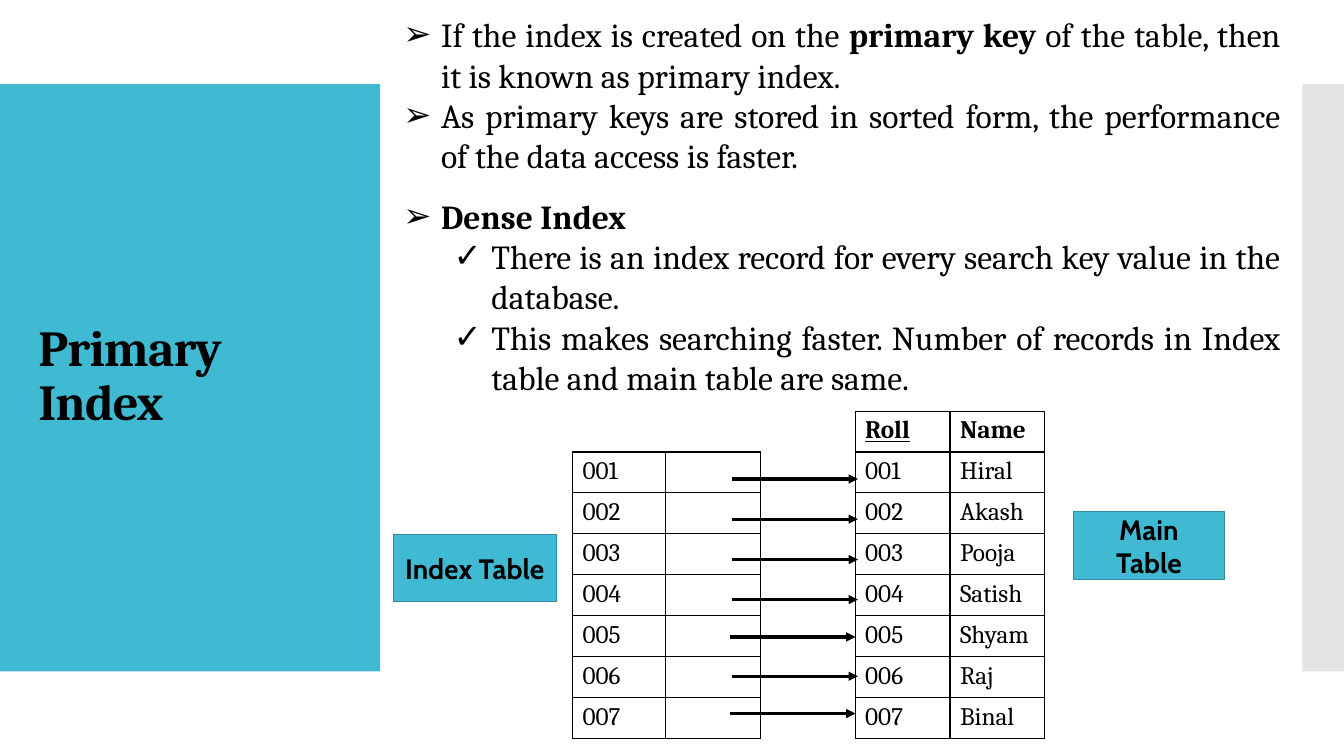
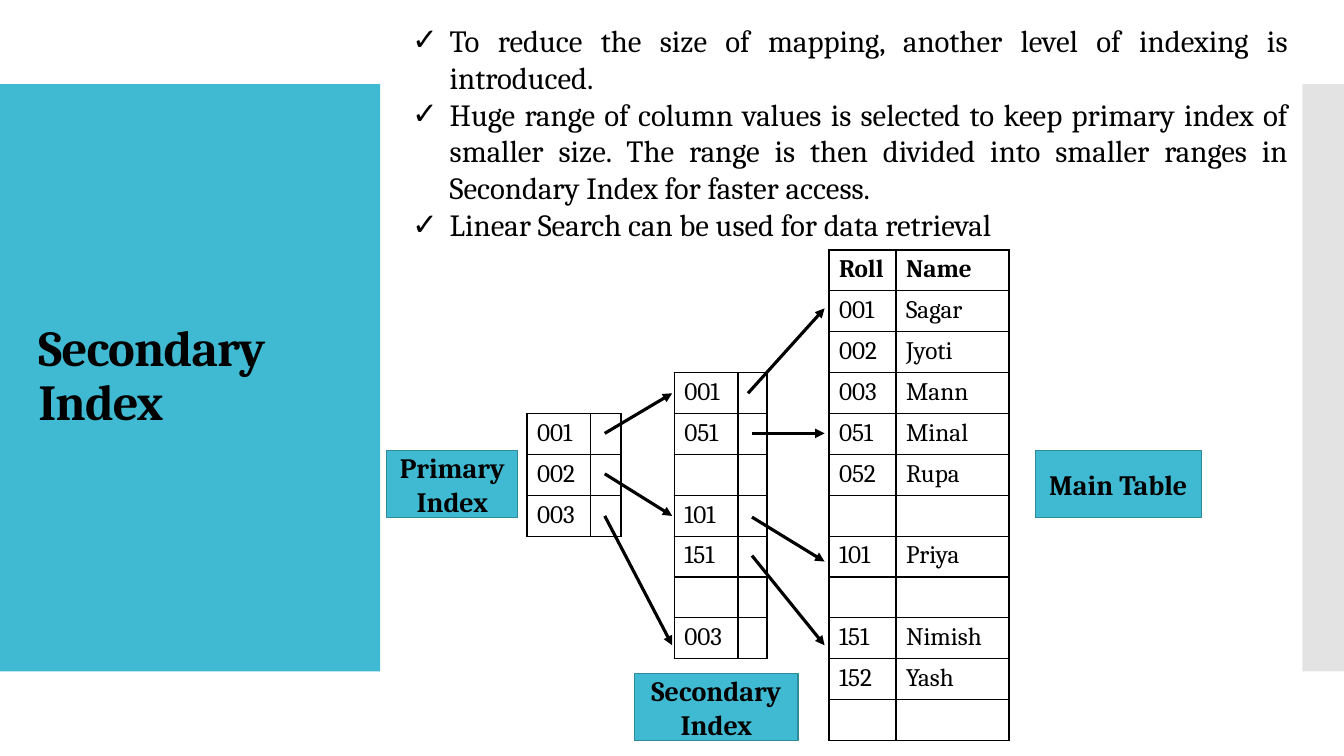
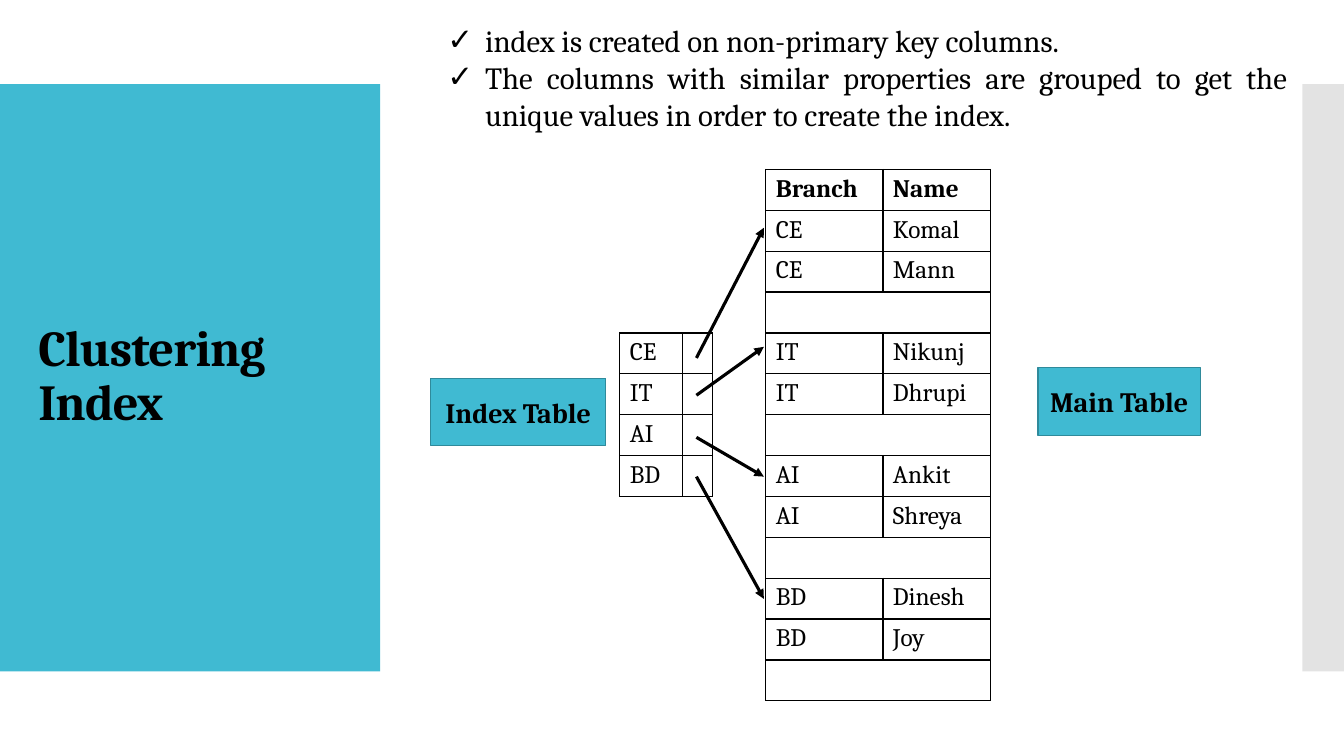
"""Build three slides on primary, secondary and clustering indexes."""
from lxml.etree import SubElement
from pptx import Presentation
from pptx.dml.color import RGBColor
from pptx.enum.shapes import MSO_CONNECTOR, MSO_SHAPE
from pptx.enum.text import MSO_ANCHOR, MSO_AUTO_SIZE, PP_ALIGN
from pptx.oxml.ns import qn
from pptx.util import Cm, Pt

RECTANGLE = MSO_SHAPE.RECTANGLE
STRAIGHT = MSO_CONNECTOR.STRAIGHT
MIDDLE, TOP = MSO_ANCHOR.MIDDLE, MSO_ANCHOR.TOP
NO_FIT, GROW = MSO_AUTO_SIZE.NONE, MSO_AUTO_SIZE.SHAPE_TO_FIT_TEXT
LEFT, CENTER, JUSTIFY = PP_ALIGN.LEFT, PP_ALIGN.CENTER, PP_ALIGN.JUSTIFY

BLACK, TEAL, DARK_TEAL, GREY = "000000", "40BAD2", "2F8A9B", "C8C8C8"
SERIF, SANS = "Cambria", "Cabin"
ROW_HEIGHT = 1.03
LABEL_HEIGHT = 1.7
BULLETS = "➢✓"
SIDES = {"a:lnL": (0, -1), "a:lnR": (0, 1), "a:lnT": (-1, 0), "a:lnB": (1, 0)}


def colour(code):
    return RGBColor.from_string(code)


def assign(target, values):
    for name, value in values.items():
        setattr(target, name, value)


def place(shape, area):
    assign(shape, dict(zip(("left", "top", "width", "height"), map(Cm, area))))


class IndexDeck:
    def __init__(self):
        self.deck = Presentation()
        assign(self.deck, {"slide_width": Cm(33.87), "slide_height": Cm(19.05)})
        self.layout = self.deck.slide_layouts[1]
        for holder in list(self.layout.placeholders)[2:]:
            holder._element.getparent().remove(holder._element)
        self.page = None

    def span(self, para, text, size, font=SERIF, **values):
        span = para.add_run()
        span.text = text
        assign(span.font, {"name": font, "size": Pt(size), "bold": False, **values})
        span.font.color.rgb = colour(BLACK)
        return span

    def new_page(self, title):
        self.page = self.deck.slides.add_slide(self.layout)
        holder = self.page.shapes.title
        place(holder, (0.71, 3.12, 8.18, 12.78))
        frame = holder.text_frame
        assign(frame, {"auto_size": NO_FIT, "vertical_anchor": MIDDLE, "word_wrap": True})
        para = frame.paragraphs[0]
        assign(para, {"alignment": LEFT, "line_spacing": 0.9})
        span = self.span(para, title, 36, bold=True)
        span._r.get_or_add_rPr().set("spc", "-60")

    def rectangle(self, area, fill):
        box = self.page.shapes.add_shape(RECTANGLE, *map(Cm, area))
        box.shadow.inherit = False
        box.fill.solid()
        box.fill.fore_color.rgb = colour(fill)
        box.line.fill.background()
        return box

    def shared_bands(self):
        """Draw both side bands and hand them to the layout."""
        panel = self.rectangle((0, 2.12, 9.58, 14.8), TEAL)
        edge = self.rectangle((32.82, 2.12, 1.05, 14.8), GREY)
        tint = edge._element.spPr.find(".//" + qn("a:srgbClr"))
        SubElement(tint, qn("a:alpha"), val="50000")
        for band in (edge, panel):
            self.layout.shapes._spTree.insert(2, band._element)

    def bullets(self, area, size, items):
        holder = self.page.placeholders[1]
        place(holder, area)
        frame = holder.text_frame
        assign(frame, {"auto_size": GROW, "vertical_anchor": TOP, "word_wrap": True})
        for number, (level, gap, spans) in enumerate(items):
            para = frame.add_paragraph() if number else frame.paragraphs[0]
            assign(para, {"level": level, "alignment": JUSTIFY, "line_spacing": 1.0,
                          "space_before": Pt(gap), "space_after": Pt(0)})
            for text, bold in spans:
                self.span(para, text, size, bold=bold)
            properties = para._p.get_or_add_pPr()
            properties.set("marL", str(Cm(0.95 + 1.27 * level)))
            properties.set("indent", str(-Cm(0.95)))
            SubElement(properties, qn("a:buChar"), char=BULLETS[level])

    def table(self, corner, widths, row_count, blocks, key=None):
        """Draw blocks of two columns in one table; a one-item row spans its block."""
        area = (*corner, sum(widths), row_count * ROW_HEIGHT)
        frame = self.page.shapes.add_table(row_count, len(widths), *map(Cm, area))
        table = frame.table
        assign(table, {"first_row": False, "horz_banding": False})
        for column, width in zip(table.columns, widths):
            column.width = Cm(width)
        for row in table.rows:
            row.height = Cm(ROW_HEIGHT)
        regions, texts = {}, {}
        for first_column, first_row, rows in blocks:
            for r, row in enumerate(rows, first_row):
                for offset in range(2):
                    cell_column = first_column + offset
                    regions[r, cell_column] = (r, first_column + min(offset, len(row) - 1))
                    texts[r, cell_column] = row[offset] if offset < len(row) else ""
        for r in range(row_count):
            for c in range(len(widths)):
                cell = table.cell(r, c)
                cell.fill.background()
                self.borders(cell, r, c, regions)
                text = texts.get((r, c))
                if text:
                    self.span(cell.text_frame.paragraphs[0], text, 18,
                              bold=r == 0, underline=text == key)

    def borders(self, cell, r, c, regions):
        """Rule each side where two different regions meet."""
        properties = cell._tc.get_or_add_tcPr()
        for position, (tag, (down, right)) in enumerate(SIDES.items()):
            line = SubElement(properties, qn(tag), w=str(Pt(1)))
            properties.insert(position, line)
            if regions.get((r, c)) == regions.get((r + down, c + right)):
                SubElement(line, qn("a:noFill"))
            else:
                SubElement(SubElement(line, qn("a:solidFill")), qn("a:srgbClr"), val=BLACK)

    def label(self, text, left, top, width, font=SERIF):
        box = self.rectangle((left, top, width, LABEL_HEIGHT), TEAL)
        box.line.color.rgb = colour(DARK_TEAL)
        box.line.width = Pt(0.85)
        assign(box.text_frame, {"word_wrap": True, "vertical_anchor": MIDDLE})
        para = box.text_frame.paragraphs[0]
        para.alignment = CENTER
        self.span(para, text, 20, font, bold=True)

    def arrows(self, start, end, heights):
        for start_height, end_height in heights:
            points = (start, start_height, end, end_height)
            arrow = self.page.shapes.add_connector(STRAIGHT, *map(Cm, points))
            arrow.line.color.rgb = colour(BLACK)
            arrow.line.width = Pt(2.25)
            SubElement(arrow.line._get_or_add_ln(), qn("a:tailEnd"), type="triangle")
            SubElement(arrow._element.spPr, qn("a:effectLst"))


def primary_index(slides):
    slides.new_page("Primary Index")
    slides.shared_bands()
    slides.bullets((9.91, 0.23, 22.61, 10.08), 24, [
        (0, 0, [("If the index is created on the ", False), ("primary key ", True),
                ("of the table, then it is known as primary index.", False)]),
        (0, 0, [("As primary keys are stored in sorted form, the performance "
                 "of the data access is faster.", False)]),
        (0, 14.4, [("Dense Index", True)]),
        (1, 0, [("There is an index record for every search key value in the "
                 "database.", False)]),
        (1, 0, [("This makes searching faster. Number of records in Index "
                 "table and main table are same.", False)]),
    ])
    names = ("Hiral", "Akash", "Pooja", "Satish", "Shyam", "Raj", "Binal")
    records = [(f"{number:03}", name) for number, name in enumerate(names, 1)]
    slides.table((14.43, 10.36), (2.34, 2.39, 2.39, 2.39, 2.39), 8, [
        (0, 1, [(roll, "") for roll, name in records]),
        (3, 0, [("Roll", "Name"), *records]),
    ], key="Roll")
    slides.arrows(18.44, 21.62, [(y, y) for y in (12.07, 13.08, 14.1, 15.11, 17.04)])
    slides.arrows(18.39, 21.56, [(y, y) for y in (16.05, 17.98)])
    slides.label("Index Table", 9.91, 13.46, 4.11, SANS)
    slides.label("Main Table", 27.05, 12.9, 3.81, SANS)


def secondary_index(slides):
    slides.new_page("Secondary Index")
    slides.bullets((8.86, 0.41, 23.85, 5.89), 22, [(1, 0, [(text, False)]) for text in (
        "To reduce the size of mapping, another level of indexing is introduced.",
        "Huge range of column values is selected to keep primary index of smaller size. "
        "The range is then divided into smaller ranges in Secondary Index for faster access.",
        "Linear Search can be used for data retrieval",
    )])
    slides.table((13.28, 6.3), (1.61, 0.76, 1.34, 1.61, 0.73, 1.56, 1.69, 2.85), 12, [
        (0, 4, [(roll, "") for roll in ("001", "002", "003")]),
        (3, 3, [(roll, "") for roll in ("001", "051", "", "101", "151", "", "003")]),
        (6, 0, [("Roll", "Name"), ("001", "Sagar"), ("002", "Jyoti"), ("003", "Mann"),
                ("051", "Minal"), ("052", "Rupa"), ("", ""), ("101", "Priya"), ("", ""),
                ("151", "Nimish"), ("152", "Yash"), ("", "")]),
    ])
    slides.arrows(15.24, 16.94, [(10.92, 9.91), (11.94, 13), (13, 16.26)])
    slides.arrows(18.85, 20.78, [(9.91, 7.77)])
    slides.arrows(18.95, 20.78, [(10.92, 10.92), (13.03, 14.15), (14, 16.26)])
    slides.label("Primary Index", 9.75, 11.35, 3.3)
    slides.label("Main Table", 26.09, 11.35, 4.19)
    slides.label("Secondary Index", 16, 16.97, 4.11)


def clustering_index(slides):
    slides.new_page("Clustering Index")
    slides.bullets((9.75, 0.41, 22.94, 3.07), 22, [(1, 0, [(text, False)]) for text in (
        "index is created on non-primary key columns.",
        "The columns with similar properties are grouped to get the unique values "
        "in order to create the index.",
    )])
    branches = {"CE": ("Komal", "Mann"), "IT": ("Nikunj", "Dhrupi"),
                "AI": ("Ankit", "Shreya"), "BD": ("Dinesh", "Joy")}
    records = [("Branch", "Name")]
    for branch, names in branches.items():
        records += [(branch, name) for name in names] + [("",)]
    slides.table((15.62, 4.27), (1.58, 0.76, 1.34, 2.95, 2.72), 13, [
        (0, 4, [(branch, "") for branch in branches]),
        (3, 0, records),
    ])
    slides.label("Index Table", 10.85, 9.53, 4.42)
    slides.label("Main Table", 26.16, 9.27, 4.09)
    slides.arrows(17.55, 19.25, [(9.02, 5.74), (9.96, 8.74), (11.02, 12.01), (12.01, 15.09)])


def main():
    slides = IndexDeck()
    primary_index(slides)
    secondary_index(slides)
    clustering_index(slides)
    slides.deck.save("out.pptx")


if __name__ == "__main__":
    main()
